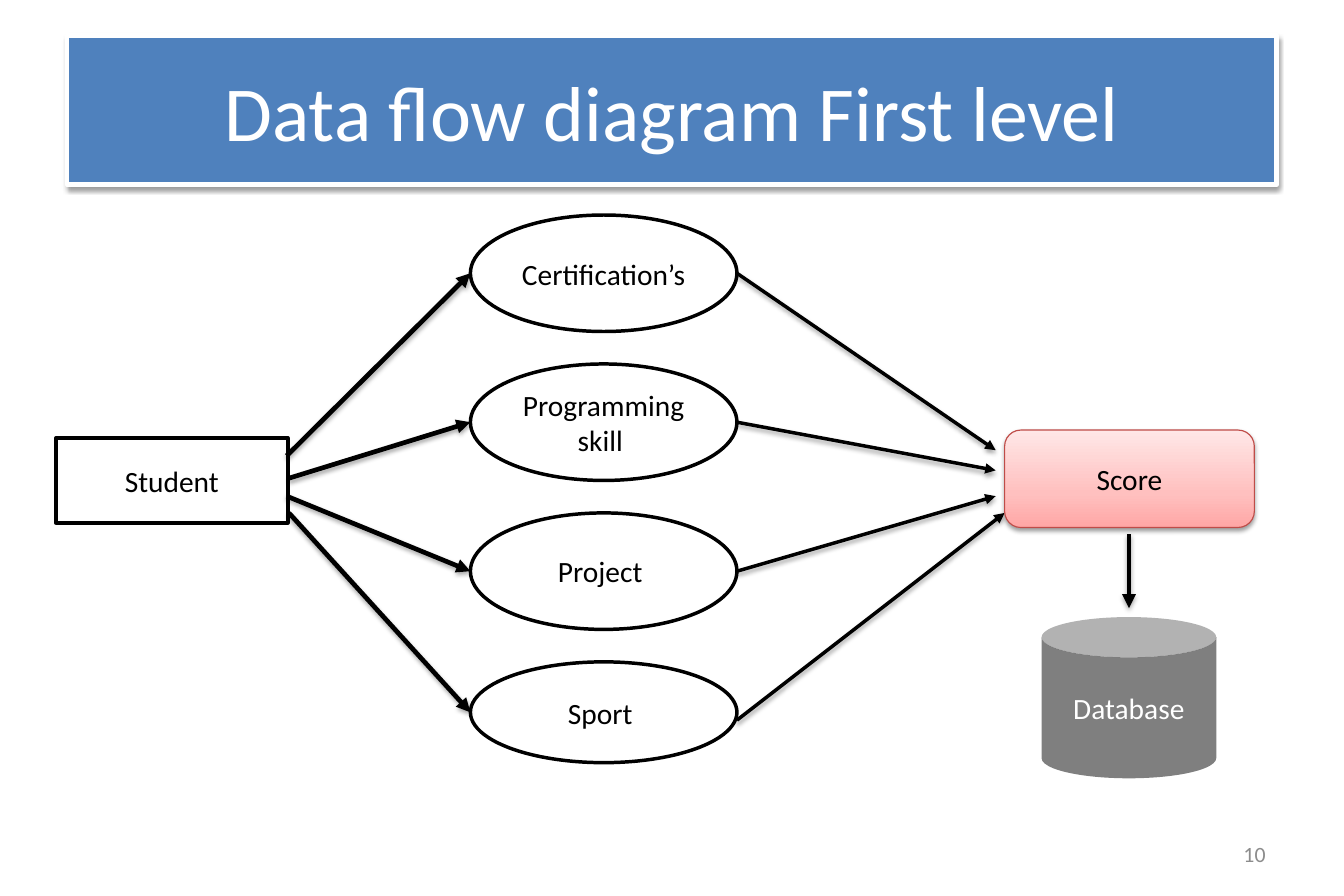
"""Build the first-level data flow diagram slide."""
import pptx
import pptx.util
import pptx.dml.color
import pptx.enum.shapes
import pptx.enum.text
import pptx.oxml
import pptx.oxml.ns
from lxml import etree

Inches, Pt = pptx.util.Inches, pptx.util.Pt
SHAPE = pptx.enum.shapes.MSO_SHAPE
ALIGN = pptx.enum.text.PP_ALIGN
qn = pptx.oxml.ns.qn

THEME = {
    "font": "Calibri",
    "title_size": 50, "label_size": 18.9, "number_size": 14,
    "thin": 0.75, "medium": 2.25, "thick": 3,
    "ink": "000000", "paper": "FFFFFF", "banner": "4F81BD",
    "score_edge": "BF4C48", "number": "8C8C8C",
    "score_stops": [(0, "FFA6A5"), (35, "FFC0BF"), (100, "FFE7E7")],
    "box_shadow": (38, 3.1, 1.6), "arrow_shadow": (35, 3.1, 1.8),
}

TITLE = ("Data flow diagram First level", (0.6, 0.32, 10.8, 1.33))
STUDENT = ("Student", (0.5, 3.91, 2.07, 0.76))
SCORE = ("Score", (8.97, 3.84, 2.23, 0.87))
DATABASE = ("Database", (9.3, 5.51, 1.56, 1.44))
PAGE_NUMBER = ("10", (8.61, 7.41, 2.8, 0.43))
STORE_ARROW = ((10.08, 4.77), (10.08, 5.43))

# name, height, leaving point at Student, drop of the exit, arrival at Score
SKILLS = [
    ("Certification’s ", 1.04, (2.56, 4.07), 0, (8.89, 4.02)),
    ("Programming skill ", 1.04, (2.58, 4.27), 0, (8.89, 4.2)),
    ("Project ", 1.04, (2.56, 4.43), 0, (8.89, 4.43)),
    ("Sport ", 0.9, (2.58, 4.58), 0.07, (8.97, 4.58)),
]
SKILL_LEFT, SKILL_TOP, SKILL_WIDTH, SKILL_PITCH = 4.2, 1.92, 2.38, 1.33


def rgb(name):
    return pptx.dml.color.RGBColor.from_string(THEME[name])


def add_shadow(part, shadow):
    opacity, blur, distance = shadow
    part._element.spPr.append(pptx.oxml.parse_xml(
        f'<a:effectLst {pptx.oxml.ns.nsdecls("a")}>'
        f'<a:outerShdw blurRad="{Pt(blur)}" dist="{Pt(distance)}" dir="5400000" rotWithShape="0">'
        f'<a:srgbClr val="{THEME["ink"]}"><a:alpha val="{opacity * 1000}"/></a:srgbClr>'
        '</a:outerShdw></a:effectLst>'))


def write(part, text, size="label_size", color="ink", align=ALIGN.CENTER):
    frame = part.text_frame
    frame.word_wrap = True
    frame.vertical_anchor = pptx.enum.text.MSO_ANCHOR.MIDDLE
    paragraph = frame.paragraphs[0]
    paragraph.text = text
    paragraph.alignment = align
    font = paragraph.font
    font.name, font.size = THEME["font"], Pt(THEME[size])
    font.color.rgb = rgb(color)


def set_insets(part):
    frame = part.text_frame
    frame.margin_left = frame.margin_right = Inches(0.11)
    frame.margin_top = frame.margin_bottom = Inches(0.06)


def add_box(slide, kind, content, fill="paper", edge="ink", width="medium", shadow=None, **style):
    text, place = content
    box = slide.shapes.add_shape(kind, *map(Inches, place))
    box.fill.solid()
    box.fill.fore_color.rgb = rgb(fill)
    if edge:
        box.line.color.rgb = rgb(edge)
        box.line.width = Pt(THEME[width])
    else:
        box.line.fill.background()
    if shadow:
        add_shadow(box, THEME[shadow])
    else:
        box.shadow.inherit = False
    write(box, text, **style)
    return box


def add_arrow(slide, start, end, width):
    arrow = slide.shapes.add_connector(
        pptx.enum.shapes.MSO_CONNECTOR.STRAIGHT, *map(Inches, start + end))
    arrow.line.color.rgb = rgb("ink")
    arrow.line.width = Pt(THEME[width])
    etree.SubElement(arrow.line._get_or_add_ln(), qn("a:tailEnd"), type="triangle")
    add_shadow(arrow, THEME["arrow_shadow"])


def shade_score(score):
    score.fill.gradient()
    score.fill.gradient_angle = 90
    stops = score._element.spPr.find(qn("a:gradFill")).find(qn("a:gsLst"))
    for stop in list(stops):
        stops.remove(stop)
    for position, color in THEME["score_stops"]:
        stop = etree.SubElement(stops, qn("a:gs"), pos=str(position * 1000))
        etree.SubElement(stop, qn("a:srgbClr"), val=color)


def main():
    deck = pptx.Presentation()
    deck.slide_width, deck.slide_height = Inches(12), Inches(8)
    slide = deck.slides.add_slide(deck.slide_layouts[6])

    add_box(slide, SHAPE.RECTANGLE, STUDENT)
    for row, (name, height, leave, drop, arrive) in enumerate(SKILLS):
        top = SKILL_TOP + row * SKILL_PITCH
        middle = top + height / 2
        add_box(slide, SHAPE.OVAL, (name, (SKILL_LEFT, top, SKILL_WIDTH, height)))
        add_arrow(slide, leave, (SKILL_LEFT, middle), "thick")
        add_arrow(slide, (SKILL_LEFT + SKILL_WIDTH, middle + drop), arrive, "medium")

    score = add_box(slide, SHAPE.ROUNDED_RECTANGLE, SCORE, edge="score_edge",
                    width="thin", shadow="box_shadow")
    shade_score(score)
    add_arrow(slide, *STORE_ARROW, "thick")
    database = add_box(slide, SHAPE.CAN, DATABASE, fill="ink", edge=None, color="paper")
    database_color = database._element.spPr.find(qn("a:solidFill")).find(qn("a:srgbClr"))
    etree.SubElement(database_color, qn("a:alpha"), val="50000")

    banner = add_box(slide, SHAPE.RECTANGLE, TITLE, fill="banner", edge="paper", width="thick",
                     shadow="box_shadow", size="title_size", color="paper")
    set_insets(banner)
    text, place = PAGE_NUMBER
    page_number = slide.shapes.add_textbox(*map(Inches, place))
    write(page_number, text, "number_size", "number", ALIGN.RIGHT)
    set_insets(page_number)
    deck.save("out.pptx")


if __name__ == "__main__":
    main()
